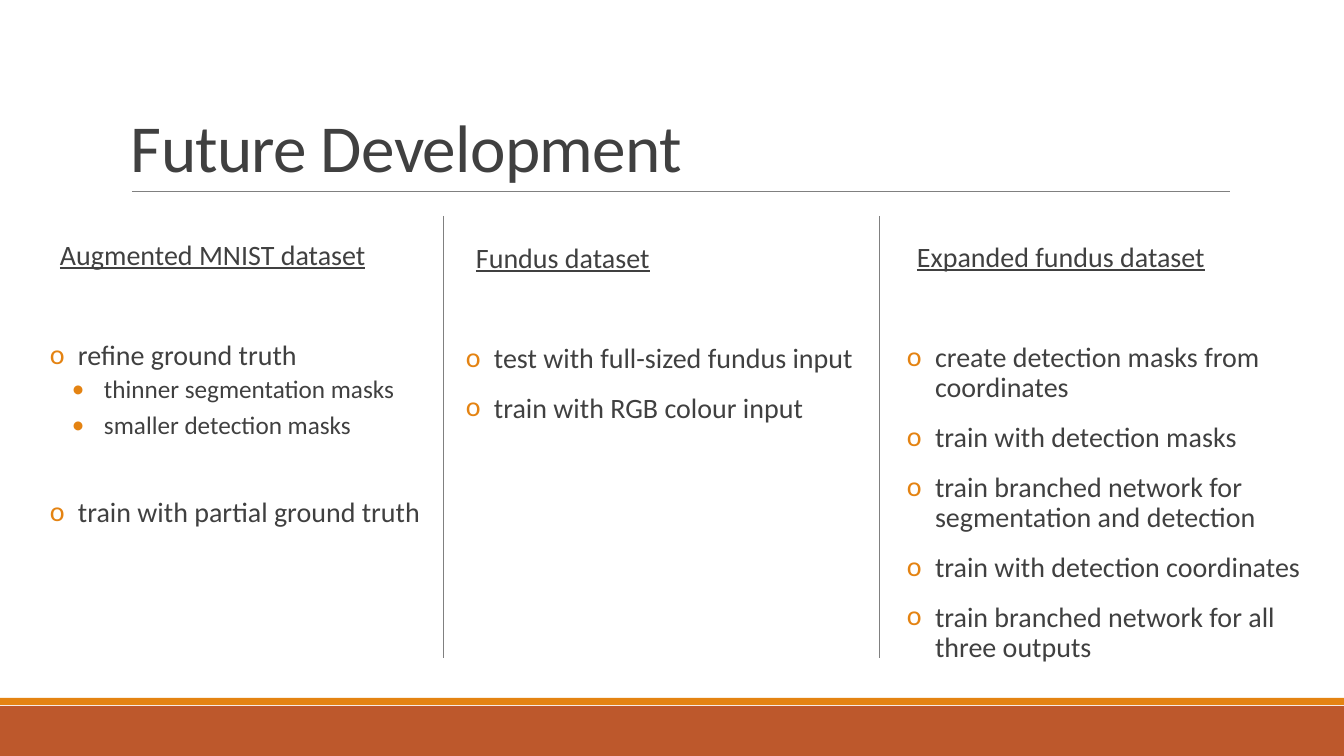
from lxml import etree
from pptx import Presentation
from pptx import util as u
from pptx.dml.color import RGBColor
from pptx.enum import shapes, text
from pptx.oxml.ns import qn

COLOURS = {"text": "404040", "accent": "E48312", "footer": "BD582C", "rule": "808080"}
FONT = "Calibri"
SCALE = 12192000 / 1344  # EMU per px

# kind: (size, bullet, left margin px, first-line indent px, before pt, after pt)
STYLES = {
    "heading": (20, None, 10, 0, 0, 2),
    "first": (20, "o", 28, -28, 48, 2),
    "item": (20, "o", 28, -28, 12, 2),
    "sub": (18, "•", 54, -32, 2, 4),
    "resume": (20, "o", 28, -28, 38, 2),
}

# (left, top, width, height, paragraphs)
COLUMNS = [
    (50, 236, 449, 394, [
        ("heading", "Augmented MNIST dataset"),
        ("first", "refine ground truth"),
        ("sub", "thinner segmentation masks"),
        ("sub", "smaller detection masks"),
        ("resume", "train with partial ground truth"),
    ]),
    (466, 239, 449, 394, [
        ("heading", "Fundus dataset"),
        ("first", "test with full-sized fundus input"),
        ("item", "train with RGB colour input"),
    ]),
    (907, 238, 421, 434, [
        ("heading", "Expanded fundus dataset"),
        ("first", "create detection masks from coordinates"),
        ("item", "train with detection masks"),
        ("item", "train branched network for segmentation and detection"),
        ("item", "train with detection coordinates"),
        ("item", "train branched network for all three outputs"),
    ]),
]


def px(length):
    return u.Emu(round(length * SCALE))


def colour(name):
    return RGBColor.from_string(COLOURS[name])


class SlideBuilder:
    def __init__(self, page):
        self.page = page

    def band(self, top, height, fill):
        shape = self.page.shapes.add_shape(
            shapes.MSO_SHAPE.RECTANGLE, 0, px(top), px(1344), px(height))
        shape.shadow.inherit = False
        shape.fill.solid()
        shape.fill.fore_color.rgb = colour(fill)
        shape.line.fill.background()

    def line(self, x1, y1, x2, y2):
        rule = self.page.shapes.add_connector(
            shapes.MSO_CONNECTOR.STRAIGHT, px(x1), px(y1), px(x2), px(y2))
        rule.line.color.rgb = colour("rule")
        rule.line.width = u.Pt(0.5)
        etree.SubElement(rule._element.spPr, qn("a:effectLst"))

    def frame(self, left, top, width, height):
        box = self.page.shapes.add_textbox(px(left), px(top), px(width), px(height))
        box.text_frame.word_wrap = True
        return box.text_frame

    def format(self, para, size):
        for span in para.runs:
            span.font.name = FONT
            span.font.size = u.Pt(size)
            span.font.color.rgb = colour("text")

    def title(self, words, left, top, width, height):
        frame = self.frame(left, top, width, height)
        frame.vertical_anchor = text.MSO_ANCHOR.BOTTOM
        frame.text = words
        para = frame.paragraphs[0]
        para.line_spacing = 0.85
        self.format(para, 48)
        para.runs[0].font._element.set("spc", "-50")

    def bullet(self, para, mark, margin, indent):
        props = para._p.get_or_add_pPr()
        props.set("marL", str(px(margin)))
        props.set("indent", str(px(indent)))
        if mark is None:
            etree.SubElement(props, qn("a:buNone"))
            return
        tint = etree.SubElement(props, qn("a:buClr"))
        etree.SubElement(tint, qn("a:srgbClr"), val=COLOURS["accent"])
        etree.SubElement(props, qn("a:buFont"), typeface=FONT)
        etree.SubElement(props, qn("a:buChar"), char=mark)

    def column(self, left, top, width, height, items):
        frame = self.frame(left, top, width, height)
        frame.margin_left = frame.margin_right = 0
        for index, (kind, words) in enumerate(items):
            size, mark, margin, indent, before, after = STYLES[kind]
            para = frame.add_paragraph() if index else frame.paragraphs[0]
            para.text = words
            self.bullet(para, mark, margin, indent)
            para.line_spacing = 0.9
            para.space_before = u.Pt(before)
            para.space_after = u.Pt(after)
            self.format(para, size)
            if kind == "heading":
                para.runs[0].font.underline = True


def main():
    deck = Presentation()
    deck.slide_width, deck.slide_height = px(1344), px(756)
    slide = SlideBuilder(deck.slides.add_slide(deck.slide_layouts[6]))

    # Footer bands
    slide.band(706, 50, "footer")
    slide.band(698, 7, "accent")

    # Title and its rule
    slide.line(132, 191, 1230, 191)
    slide.title("Future Development", 121, 31, 1109, 160)

    # Columns and dividers
    for column in COLUMNS:
        slide.column(*column)
    for x in (443, 879):
        slide.line(x, 216, x, 658)

    deck.save("out.pptx")


if __name__ == "__main__":
    main()
